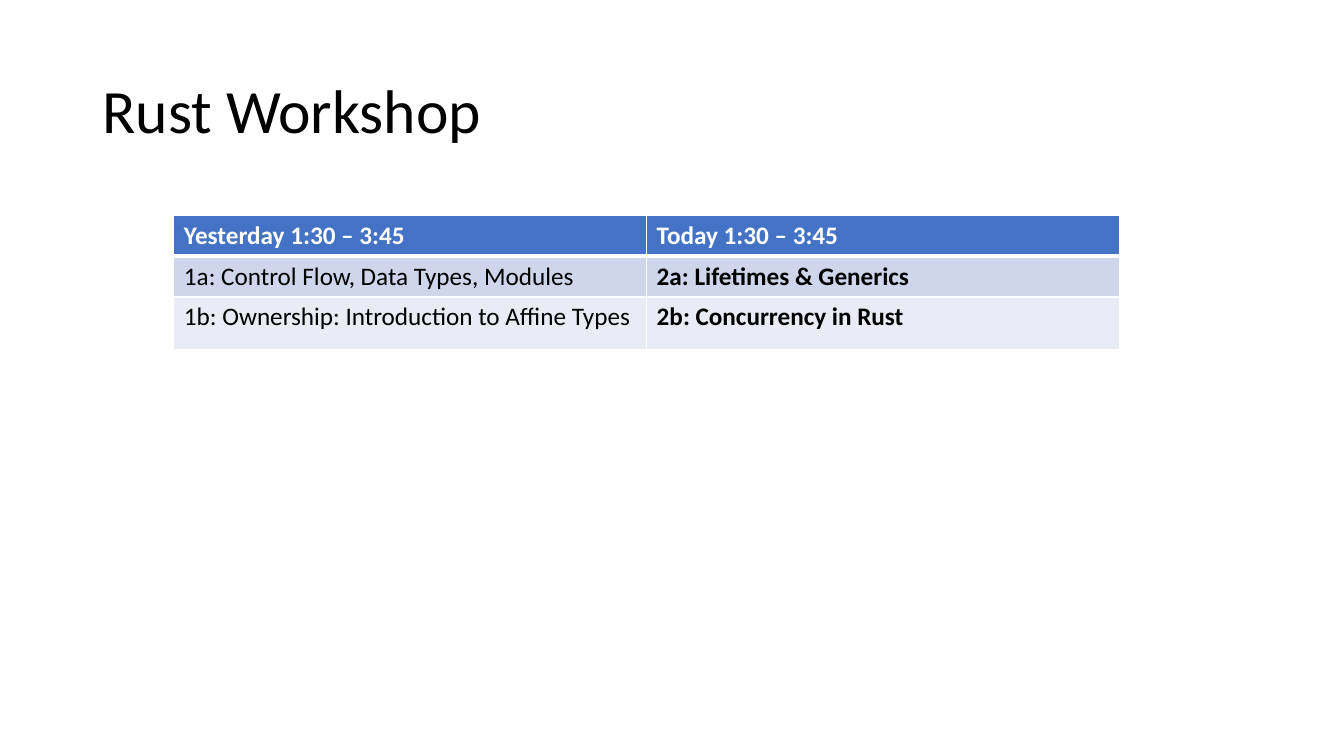
from lxml.etree import SubElement
from pptx import Presentation
from pptx.dml.color import RGBColor
from pptx.enum.text import MSO_ANCHOR, PP_ALIGN
from pptx.oxml.ns import qn
from pptx.util import Pt

COLORS = {
    "text": "000000",
    "white": "FFFFFF",
    "header": "4472C4",
    "band_dark": "CFD5EA",
    "band_light": "E9EBF5",
}

SESSIONS = [
    ("Yesterday 1:30 – 3:45", "Today 1:30 – 3:45"),
    ("1a: Control Flow, Data Types, Modules", "2a: Lifetimes & Generics"),
    ("1b: Ownership: Introduction to Affine Types", "2b: Concurrency in Rust"),
]


class WorkshopSlide:
    """Holds the style and the current slide."""

    font_name = "Calibri"

    def __init__(self, deck):
        self.slide = deck.slides.add_slide(deck.slide_layouts[5])

    def add_text(self, frame, text, color, **formats):
        """Put one formatted run into a text frame and return its paragraph."""
        paragraph = frame.paragraphs[0]
        run = paragraph.add_run()
        run.text = text
        for key, value in {"name": self.font_name, **formats}.items():
            setattr(run.font, key, value)
        run.font.color.rgb = RGBColor.from_string(COLORS[color])
        return paragraph

    def title(self, text, left, top, width, height):
        heading = self.slide.shapes.title
        place = {"left": left, "top": top, "width": width, "height": height}
        for key, value in place.items():
            setattr(heading, key, Pt(value))
        frame = heading.text_frame
        frame.vertical_anchor = MSO_ANCHOR.MIDDLE
        line = self.add_text(frame, text, "text", size=Pt(44))
        for key, value in {"alignment": PP_ALIGN.LEFT, "line_spacing": 0.9}.items():
            setattr(line, key, value)

    def borders(self, cell, widths):
        """Draw white cell borders; widths maps each side to points."""
        properties = cell._tc.get_or_add_tcPr()
        for side, width in widths.items():
            border = SubElement(properties, qn(f"a:ln{side}"), w=str(Pt(width)))
            fill = SubElement(border, qn("a:solidFill"))
            SubElement(fill, qn("a:srgbClr"), val=COLORS["white"])

    def table(self, rows, left, top, column_width, row_heights):
        columns = len(rows[0])
        schedule = self.slide.shapes.add_table(
            len(rows), columns, Pt(left), Pt(top),
            Pt(column_width * columns), Pt(sum(row_heights))).table
        for column in schedule.columns:
            column.width = Pt(column_width)
        fills = ("header", "band_dark", "band_light")
        for r, (texts, height, fill) in enumerate(zip(rows, row_heights, fills)):
            schedule.rows[r].height = Pt(height)
            for c, text in enumerate(texts):
                cell = schedule.cell(r, c)
                # A thick rule separates the header from the sessions
                self.borders(cell, {"L": 1, "R": 1,
                                    "T": 3 if r == 1 else 1,
                                    "B": 3 if r == 0 else 1})
                cell.fill.solid()
                cell.fill.fore_color.rgb = RGBColor.from_string(COLORS[fill])
                # Header and today's sessions are bold
                self.add_text(cell.text_frame, text,
                              "white" if r == 0 else "text",
                              size=Pt(18), bold=r == 0 or c == 1)


def main():
    deck = Presentation()
    deck.slide_width, deck.slide_height = Pt(960), Pt(540)
    workshop = WorkshopSlide(deck)

    # Heading
    workshop.title("Rust Workshop", 66, 28.75, 828, 104.4)

    # Schedule
    workshop.table(SESSIONS, left=124.2, top=153.7, column_width=337.7,
                   row_heights=(29.2, 29.2, 37.6))

    deck.save("out.pptx")


if __name__ == "__main__":
    main()
